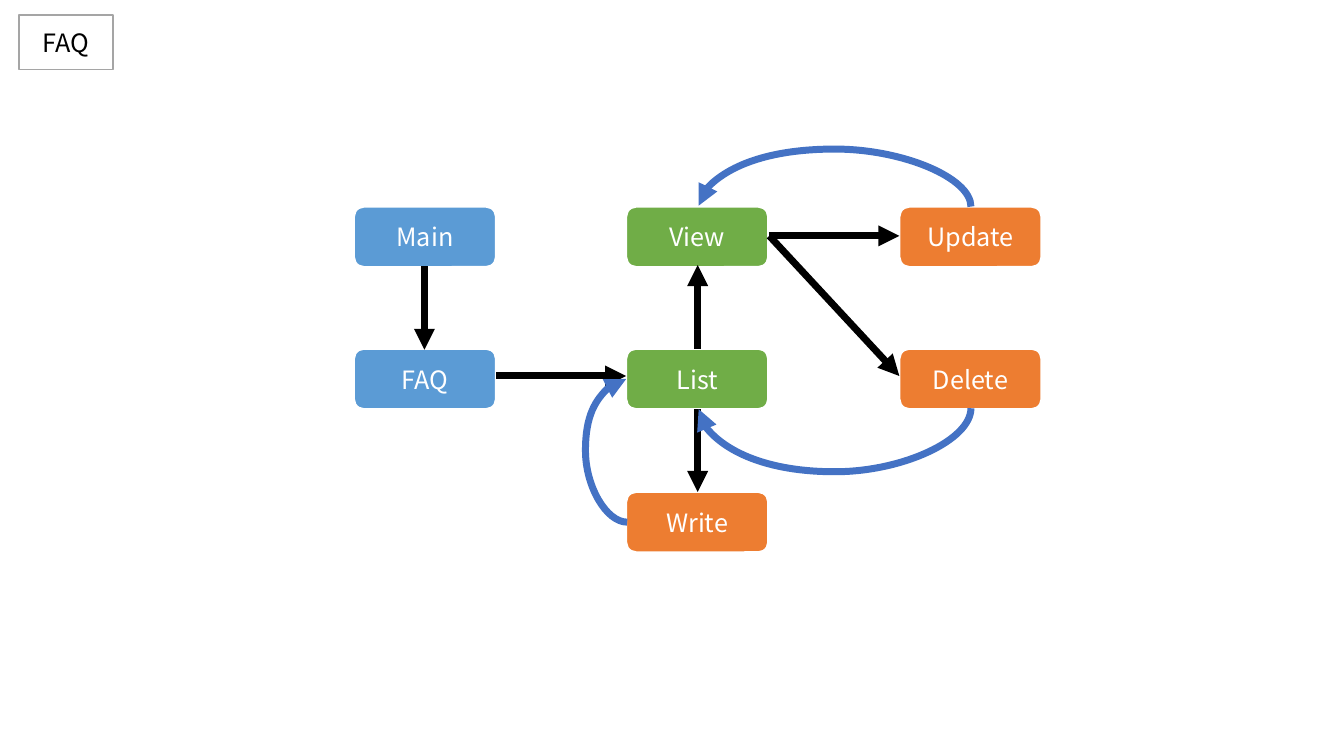
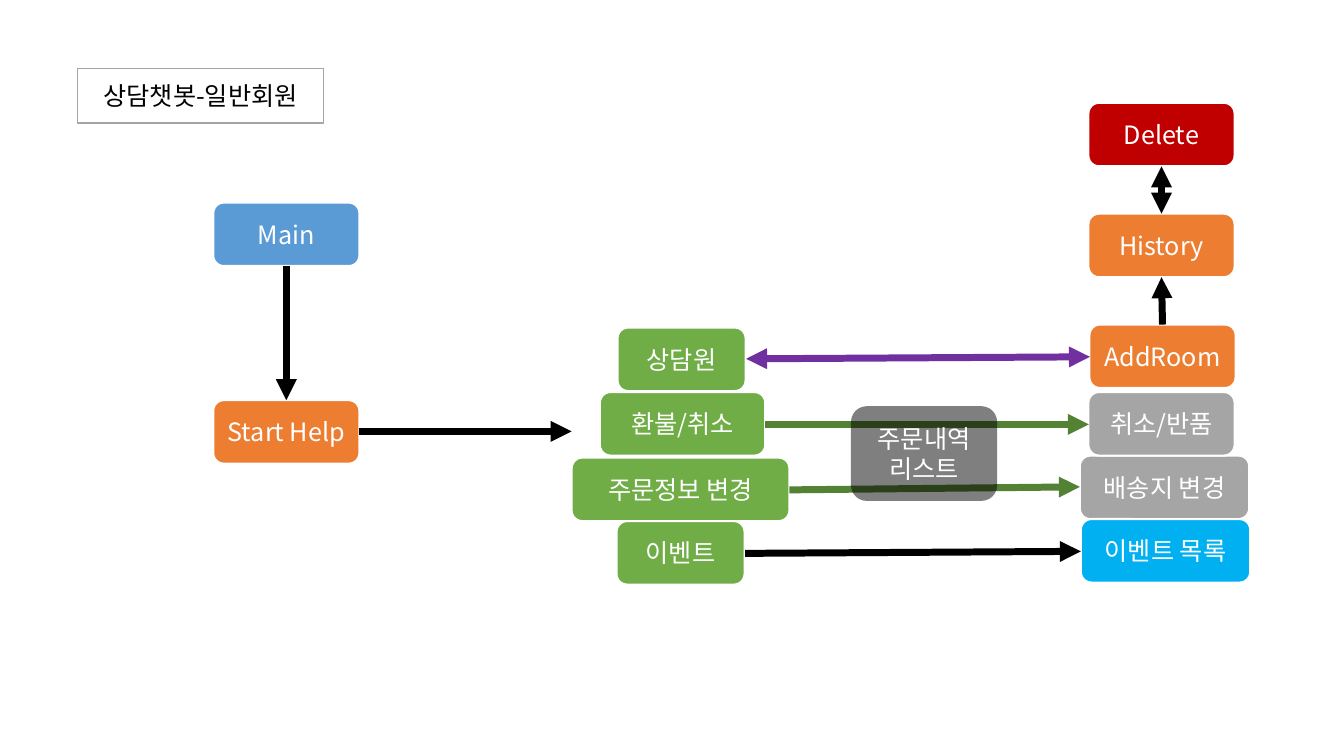
from lxml import etree
from pptx import Presentation
from pptx import util as u
from pptx.dml.color import RGBColor
from pptx.enum import shapes, text
from pptx.oxml import ns

FONT = "Noto Sans CJK KR"
COLORS = {
    "white": "FFFFFF", "black": "000000", "blue": "5B9BD5", "green": "70AD47",
    "orange": "ED7D31", "gray": "A5A5A5", "red": "C00000", "sky": "00B0F0",
    "return": "4472C4", "order": "548235", "chat": "7030A0",
}
ARROW_WIDTH = 5
LOOP_DEPTH = 0.01  # distance between the two ends of a loop along its exit
LOOP_TURNS = {"up": 270, "down": 90, "left": 180}

# FAQ: label, fill, column, row
FAQ_COLS, FAQ_ROWS = (3.51, 6.21, 8.92), (2.05, 3.46, 4.88)
FAQ_SIZE = (1.41, 0.6)
FAQ_NODES = [
    ("Main", "blue", 0, 0), ("FAQ", "blue", 0, 1),
    ("List", "green", 1, 1), ("View", "green", 1, 0),
    ("Write", "orange", 1, 2),
    ("Update", "orange", 2, 0), ("Delete", "orange", 2, 1),
]
# Arrows: start, end, colour, both ends
FAQ_ARROWS = [
    ((4.92, 3.73), (6.21, 3.73), "black", False),
    ((4.21, 2.64), (4.21, 3.47), "black", False),
    ((6.92, 3.46), (6.92, 2.63), "black", False),
    ((6.92, 4.06), (6.92, 4.88), "black", False),
    ((7.63, 2.34), (8.92, 2.34), "black", False),
    ((7.63, 2.34), (8.92, 3.73), "black", False),
]
# Loops: start, end, exit side, bulge
FAQ_LOOPS = [
    ((9.63, 2.05), (6.93, 2.04), "up", 0.58),
    ((9.63, 4.05), (6.93, 4.06), "down", 0.64),
    ((6.22, 5.18), (6.21, 3.76), "left", 0.42),
]

# Chatbot: label, fill, centre x, top, width
BOT_HEIGHT = 0.63
BOT_NODES = [
    ("Main", "blue", 2.84, 2.01, 1.45),
    ("Start Help", "orange", 2.84, 3.97, 1.45),
    ("AddRoom", "orange", 11.53, 3.22, 1.45),
    ("상담원", "green", 6.76, 3.25, 1.27),
    ("환불/취소", "green", 6.77, 3.89, 1.64),
    ("주문정보 변경", "green", 6.75, 4.54, 2.16),
    ("이벤트", "green", 6.75, 5.17, 1.27),
    ("배송지 변경", "gray", 11.55, 4.52, 1.68),
    ("이벤트 목록", "sky", 11.56, 5.15, 1.68),
    ("취소/반품", "gray", 11.52, 3.89, 1.45),
    ("History", "orange", 11.52, 2.12, 1.45),
    ("Delete", "red", 11.52, 1.02, 1.45),
]
BOT_ARROWS = [
    ((3.56, 4.28), (5.67, 4.28), "black", False),
    ((7.59, 4.21), (10.8, 4.21), "order", False),
    ((7.83, 4.86), (10.71, 4.83), "order", False),
    ((7.39, 5.49), (10.72, 5.47), "black", False),
    ((7.4, 3.56), (10.81, 3.54), "chat", True),
    ((2.84, 2.64), (2.84, 3.97), "black", False),
    ((11.53, 3.22), (11.52, 2.75), "black", False),
    ((11.52, 2.12), (11.52, 1.65), "black", True),
]


def rgb(name):
    return RGBColor.from_string(COLORS[name])


def add_box(slide, label, box, fill, line="white", line_width=1.5,
            color="white", kind="ROUNDED_RECTANGLE", alpha=None):
    """Add a filled shape with centred text; alpha is opacity in percent."""
    sp = slide.shapes.add_shape(getattr(shapes.MSO_SHAPE, kind),
                                *map(u.Inches, box))
    sp.shadow.inherit = False
    sp.fill.solid()
    sp.fill.fore_color.rgb = rgb(fill)
    if alpha is not None:
        clr = sp.fill._xPr.find(".//" + ns.qn("a:srgbClr"))
        etree.SubElement(clr, ns.qn("a:alpha")).set("val", str(alpha * 1000))
    if line:
        sp.line.color.rgb = rgb(line)
        sp.line.width = u.Pt(line_width)
    else:
        sp.line.fill.background()
    tf = sp.text_frame
    tf.word_wrap = True
    tf.vertical_anchor = text.MSO_ANCHOR.MIDDLE
    tf.text = label
    for p in tf.paragraphs:
        p.alignment = text.PP_ALIGN.CENTER
        for r in p.runs:
            for key, value in {"name": FONT, "size": u.Pt(18)}.items():
                setattr(r.font, key, value)
            r.font.color.rgb = rgb(color)
            ea = etree.SubElement(r.font._element, ns.qn("a:ea"))
            ea.set("typeface", FONT)


def add_title(slide, label, box):
    add_box(slide, label, box, "white", line="gray", line_width=1,
            color="black", kind="RECTANGLE")


def add_arrow(slide, start, end, color, both=False, kind="STRAIGHT"):
    c = slide.shapes.add_connector(getattr(shapes.MSO_CONNECTOR, kind),
                                   *map(u.Inches, start + end))
    c.line.color.rgb = rgb(color)
    c.line.width = u.Pt(ARROW_WIDTH)
    ln = c.line._get_or_add_ln()
    for tag in ("a:headEnd", "a:tailEnd") if both else ("a:tailEnd",):
        etree.SubElement(ln, ns.qn(tag)).set("type", "triangle")
    etree.SubElement(c._element.spPr, ns.qn("a:effectLst"))
    return c


def add_loop(slide, start, end, side, bulge):
    """Add a curved arrow that leaves and returns on the same side."""
    (x1, y1), (x2, y2) = start, end
    cx, cy = (x1 + x2) / 2, (y1 + y2) / 2
    span = abs(y2 - y1) if side == "left" else abs(x2 - x1)
    dx, dy = LOOP_DEPTH / 2, span / 2
    if side == "up":
        dy = -dy
    c = add_arrow(slide, (cx - dx, cy - dy), (cx + dx, cy + dy), "return",
                  kind="CURVE")
    sp_pr = c._element.spPr
    sp_pr.xfrm.set("rot", str(LOOP_TURNS[side] * 60000))
    guides = sp_pr.find(ns.qn("a:prstGeom")).get_or_add_avLst()
    gd = etree.SubElement(guides, ns.qn("a:gd"))
    gd.set("name", "adj1")
    gd.set("fmla", f"val {round(bulge / LOOP_DEPTH * 100000)}")


def build_faq(slide):
    for label, fill, col, row in FAQ_NODES:
        add_box(slide, label, (FAQ_COLS[col], FAQ_ROWS[row]) + FAQ_SIZE, fill)
    for arrow in FAQ_ARROWS:
        add_arrow(slide, *arrow)
    for loop in FAQ_LOOPS:
        add_loop(slide, *loop)
    add_title(slide, "FAQ", (0.19, 0.15, 0.93, 0.54))


def build_chatbot(slide):
    for label, fill, center, top, width in BOT_NODES:
        add_box(slide, label, (center - width / 2, top, width, BOT_HEIGHT), fill)
    for arrow in BOT_ARROWS:
        add_arrow(slide, *arrow)
    add_box(slide, "주문내역\n리스트", (8.44, 4.03, 1.45, 0.94), "black",
            line=None, alpha=50)
    add_title(slide, "상담챗봇-일반회원", (0.77, 0.68, 2.44, 0.54))


def main():
    prs = Presentation()
    prs.slide_width, prs.slide_height = u.Inches(13.33), u.Inches(7.5)
    for build in (build_faq, build_chatbot):
        build(prs.slides.add_slide(prs.slide_layouts[6]))
    prs.save("out.pptx")


if __name__ == "__main__":
    main()
